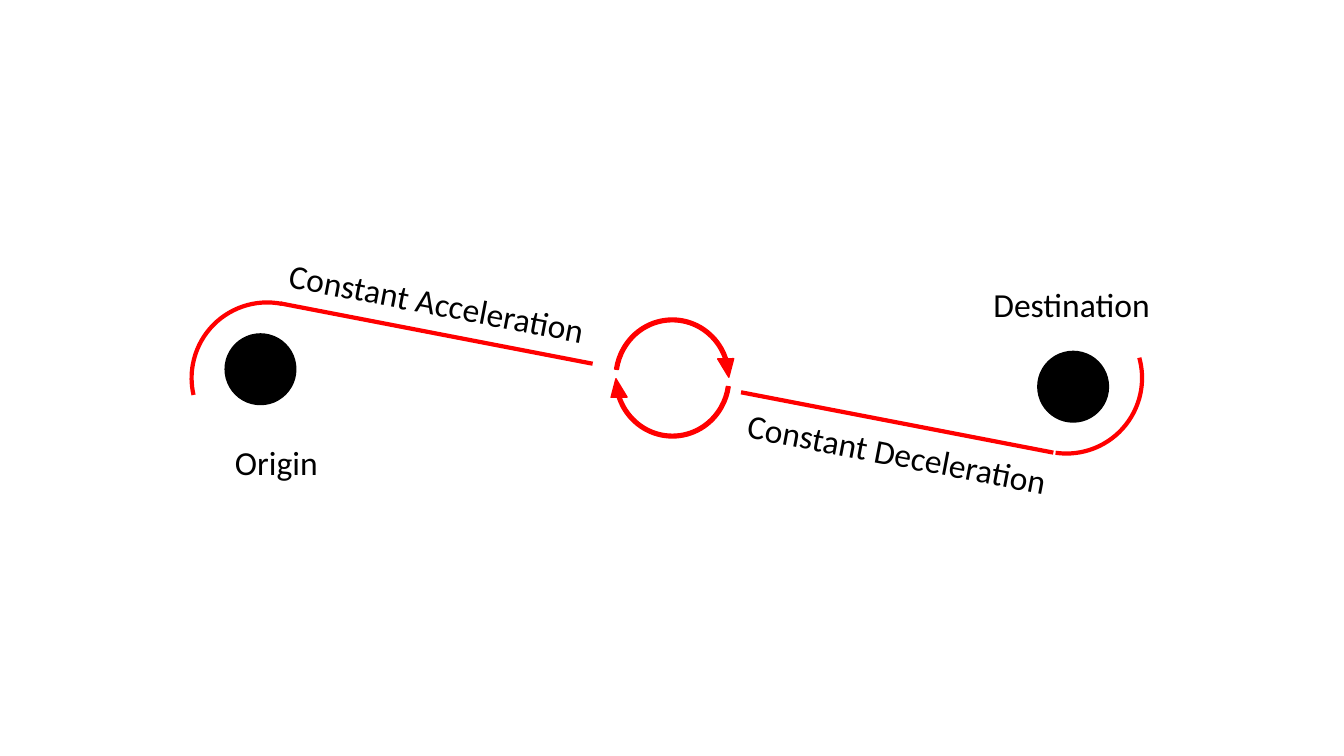
from lxml import etree
from pptx import Presentation
from pptx.dml.color import RGBColor
from pptx.enum.shapes import MSO_CONNECTOR, MSO_SHAPE
from pptx.enum.text import MSO_AUTO_SIZE, PP_ALIGN
from pptx.oxml.ns import qn
from pptx.util import Cm, Pt

STRAIGHT = MSO_CONNECTOR.STRAIGHT
ELLIPSE = MSO_SHAPE.OVAL
ARC = MSO_SHAPE.ARC
CIRCULAR_ARROW = MSO_SHAPE.CIRCULAR_ARROW
FIT_SHAPE = MSO_AUTO_SIZE.SHAPE_TO_FIT_TEXT
CENTER = PP_ALIGN.CENTER

BLACK = RGBColor(0x00, 0x00, 0x00)
RED = RGBColor(0xFF, 0x00, 0x00)
FONT = "Calibri"

ORBIT_SIZE = 3.81
PLANET_SIZE = 1.78
LABEL_HEIGHT = 1.27
PHASE_WIDTH = 9.14
PATH_ANGLE = 10.9


def add_centered_shape(shapes, kind, center_x, center_y, width, height, rotation=0):
    shape = shapes.add_shape(
        kind, Cm(center_x - width / 2), Cm(center_y - height / 2), Cm(width), Cm(height)
    )
    shape.rotation = rotation
    shape.shadow.inherit = False
    return shape


def paint(shape, color):
    shape.fill.solid()
    shape.fill.fore_color.rgb = color
    shape.line.color.rgb = color
    shape.line.width = Pt(1)


def add_label(slide, text, center_x, center_y, width, rotation=0):
    label = slide.shapes.add_textbox(
        Cm(center_x - width / 2), Cm(center_y - LABEL_HEIGHT / 2), Cm(width), Cm(LABEL_HEIGHT)
    )
    label.rotation = rotation
    text_frame = label.text_frame
    text_frame.word_wrap = True
    text_frame.auto_size = FIT_SHAPE
    text_frame.text = text
    paragraph = text_frame.paragraphs[0]
    paragraph.alignment = CENTER
    font = paragraph.runs[0].font
    font.name = FONT
    font.size = Pt(24)
    font.color.rgb = BLACK


def add_leg(slide, left, top, side, arc_rotation, phase, name, name_offset, name_width):
    center_x, center_y = left + ORBIT_SIZE / 2, top + ORBIT_SIZE / 2

    def place(x, y):
        return center_x + side * x, center_y + side * y

    planet = add_centered_shape(
        slide.shapes, ELLIPSE, *place(-0.17, -0.22), PLANET_SIZE, PLANET_SIZE
    )
    paint(planet, BLACK)

    orbit = add_centered_shape(
        slide.shapes, ARC, center_x, center_y, ORBIT_SIZE, ORBIT_SIZE, arc_rotation
    )
    orbit.adjustments[0] = 147.687
    orbit.adjustments[1] = 0
    orbit.fill.background()

    start, end = place(0.33, -1.88), place(8.2, -0.36)
    trajectory = slide.shapes.add_connector(
        STRAIGHT, *(Cm(length) for length in start + end)
    )
    for curve in (orbit, trajectory):
        curve.line.color.rgb = RED
        curve.line.width = Pt(3)
    etree.SubElement(trajectory._element.spPr, qn("a:effectLst"))

    add_label(slide, phase, *place(4.27, -1.9), PHASE_WIDTH, PATH_ANGLE)
    add_label(slide, name, center_x + name_offset[0], center_y + name_offset[1], name_width)


def add_turnover(slide, left, top, width, height):
    group = slide.shapes.add_group_shape()
    for rotation in (0, 180):
        arrow = add_centered_shape(
            group.shapes, CIRCULAR_ARROW,
            left + width / 2, top + height / 2, width, height, rotation,
        )
        for index, value in enumerate((0.029, 11.423, 204.147, 113.288, 0.062)):
            arrow.adjustments[index] = value
        paint(arrow, RED)


def main():
    presentation = Presentation()
    presentation.slide_width = Cm(33.87)
    presentation.slide_height = Cm(19.05)
    slide = presentation.slides.add_slide(presentation.slide_layouts[6])
    add_leg(slide, 4.83, 7.62, 1, 280.9, "Constant Acceleration", "Origin", (0.23, 2.13), 3.66)
    add_leg(
        slide, 24.97, 7.62, -1, 98.3,
        "Constant Deceleration", "Destination", (0.13, -1.85), 5.74,
    )
    add_turnover(slide, 15.32, 7.86, 3.25, 3.33)
    presentation.save("out.pptx")


if __name__ == "__main__":
    main()
